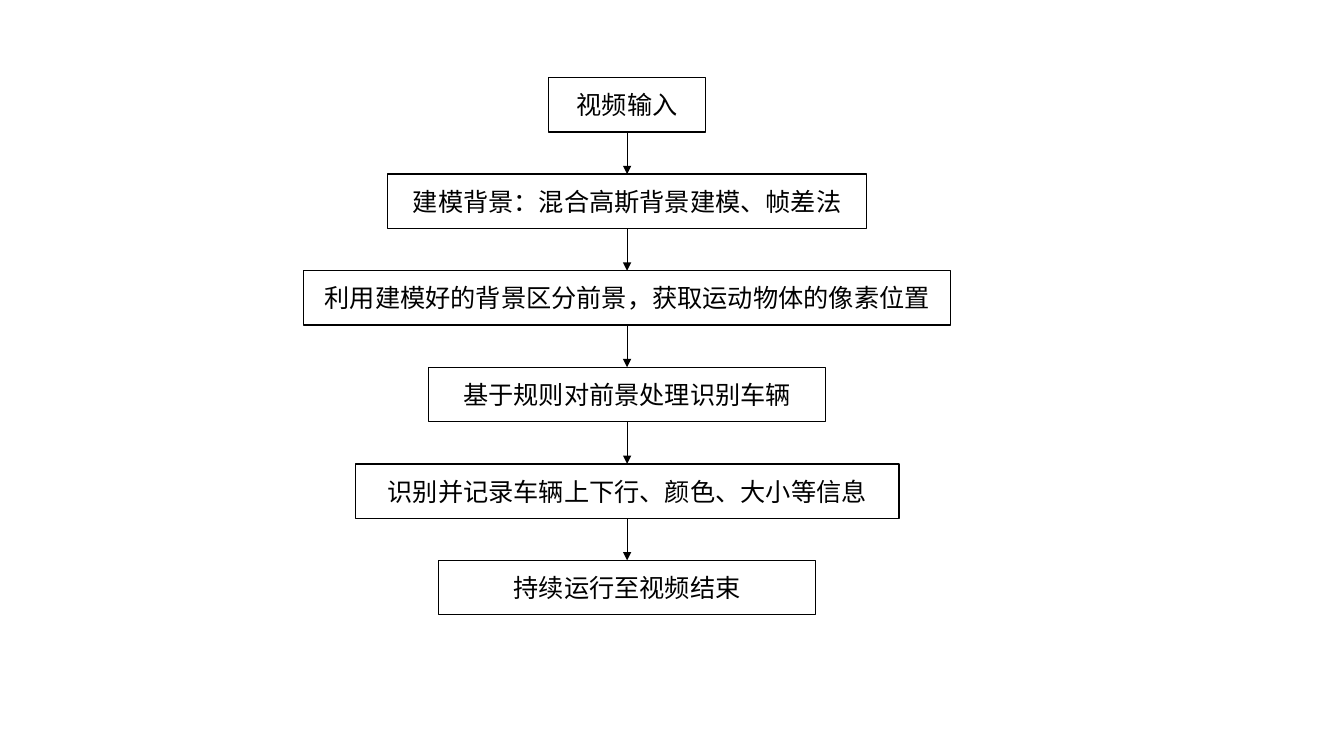
from itertools import pairwise

from lxml import etree
from pptx import Presentation
from pptx import util as u
from pptx.dml import color
from pptx.enum import shapes, text
from pptx.oxml import ns

FONT = "Noto Sans CJK SC"
BLACK, WHITE = "000000", "FFFFFF"
STEP_HEIGHT = u.Inches(0.54)
BOTTOM_SITE, TOP_SITE = 2, 0

# Wording and box width in inches, in order of processing
STEPS = [
    ("视频输入", 1.56),
    ("建模背景：混合高斯背景建模、帧差法", 4.75),
    ("利用建模好的背景区分前景，获取运动物体的像素位置", 6.42),
    ("基于规则对前景处理识别车辆", 3.94),
    ("识别并记录车辆上下行、颜色、大小等信息", 5.39),
    ("持续运行至视频结束", 3.74),
]


def paint(target, hex_color):
    """Give a fill or font colour format a solid hex colour."""
    target.rgb = color.RGBColor.from_string(hex_color)


def add_step(slide, wording, left, top, width):
    """Draw one outlined process box with centred wording."""
    step = slide.shapes.add_shape(
        shapes.MSO_SHAPE.RECTANGLE, left, top, width, STEP_HEIGHT)
    step.shadow.inherit = False
    step.fill.solid()
    paint(step.fill.fore_color, WHITE)
    paint(step.line.color, BLACK)
    step.line.width = u.Pt(1)
    frame = step.text_frame
    frame.word_wrap = True
    frame.vertical_anchor = text.MSO_ANCHOR.MIDDLE
    paragraph = frame.paragraphs[0]
    paragraph.alignment = text.PP_ALIGN.CENTER
    run = paragraph.add_run()
    run.text = wording
    run.font.size = u.Pt(18)
    run.font.name = FONT
    paint(run.font.color, BLACK)
    etree.SubElement(run.font._element, ns.qn("a:ea"), typeface=FONT)
    return step


def add_arrow(slide, upper, lower):
    """Join two steps with a thin arrow pointing to the lower one."""
    arrow = slide.shapes.add_connector(shapes.MSO_CONNECTOR.STRAIGHT, 0, 0, 0, 0)
    arrow.begin_connect(upper, BOTTOM_SITE)
    arrow.end_connect(lower, TOP_SITE)
    paint(arrow.line.color, BLACK)
    arrow.line.width = u.Pt(0.5)
    etree.SubElement(arrow.line._get_or_add_ln(), ns.qn("a:tailEnd"), type="triangle")
    etree.SubElement(arrow._element.spPr, ns.qn("a:effectLst"))


def build_flow(slide, left, top, width, height):
    """Stack the steps evenly in the given box, centred, joined by arrows."""
    pitch = (height - STEP_HEIGHT) / (len(STEPS) - 1)
    flow = []
    for row, (wording, inches) in enumerate(STEPS):
        step_width = u.Inches(inches)
        step_left = left + (width - step_width) // 2
        flow.append(add_step(slide, wording, step_left,
                             top + round(row * pitch), step_width))
    for upper, lower in pairwise(flow):
        add_arrow(slide, upper, lower)


def main():
    """Build and save the vehicle recognition flow slide."""
    deck = Presentation()
    deck.slide_width, deck.slide_height = u.Inches(13.33), u.Inches(7.5)
    slide = deck.slides.add_slide(deck.slide_layouts.get_by_name("Blank"))
    build_flow(slide, u.Inches(3.01), u.Inches(0.77), u.Inches(6.42), u.Inches(5.33))
    deck.save("out.pptx")


main()
